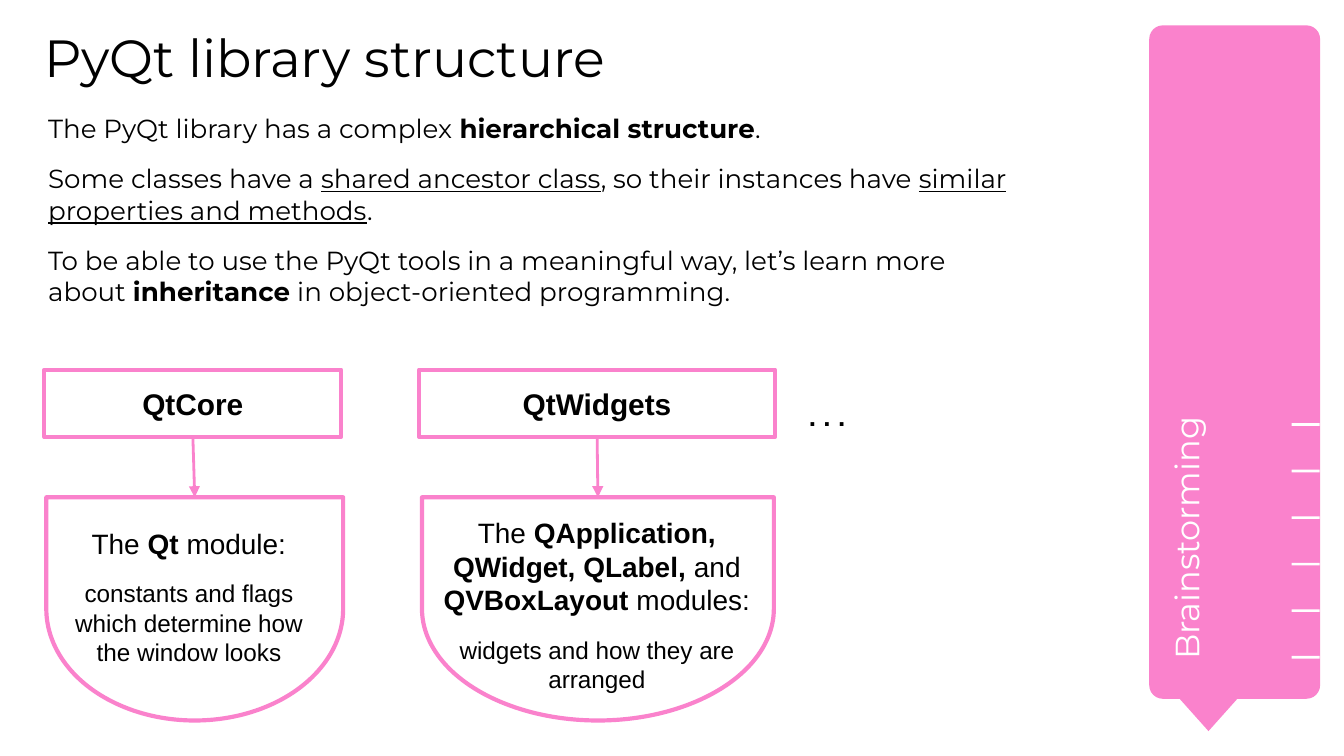
"""Build the PyQt library structure slide."""
import pptx
import pptx.util
import pptx.dml.color
import pptx.enum.shapes
import pptx.enum.text
import pptx.oxml.ns
import lxml.etree

Cm = pptx.util.Cm
RGBColor = pptx.dml.color.RGBColor
KIND = pptx.enum.shapes.MSO_SHAPE
ALIGN = pptx.enum.text.PP_ALIGN
ANCHOR = pptx.enum.text.MSO_ANCHOR
PINK = RGBColor(0xFA, 0x82, 0xCC)
WHITE = RGBColor(0xFF, 0xFF, 0xFF)
BLACK = RGBColor(0x00, 0x00, 0x00)
SANS = "Montserrat"
PLAIN = "Arial"


def write(shape, text, size=14, font=SANS, ink=BLACK, align=ALIGN.LEFT,
          mark="bold", before=0, after=0, inset=0.25, anchor=ANCHOR.TOP):
    """Add a paragraph to a shape; text between asterisks gets the mark."""
    frame = shape.text_frame
    frame.word_wrap = True
    frame.vertical_anchor = anchor
    frame.margin_left = frame.margin_right = Cm(inset)
    frame.margin_top = frame.margin_bottom = Cm(inset)
    para = frame.paragraphs[0]
    if para.runs:
        para = frame.add_paragraph()
    para.alignment = align
    if before:
        para.space_before = pptx.util.Pt(before)
    if after:
        para.space_after = pptx.util.Pt(after)
    for spot, part in enumerate(text.split("*")):
        if part:
            run = para.add_run()
            run.text = part
            run.font.size = pptx.util.Pt(size)
            run.font.name = font
            run.font.color.rgb = ink
            if spot % 2:
                setattr(run.font, mark, True)


def draw(shapes, kind, left, top, width, height, fill=WHITE, line=None):
    """Add a filled shape with an optional outline."""
    shape = shapes.add_shape(kind, Cm(left), Cm(top), Cm(width), Cm(height))
    shape.shadow.inherit = False
    shape.fill.solid()
    shape.fill.fore_color.rgb = fill
    if line:
        shape.line.color.rgb = line
        shape.line.width = pptx.util.Pt(2.25)
    else:
        shape.line.fill.background()
    return shape


deck = pptx.Presentation()
deck.slide_width = Cm(25.4)
deck.slide_height = Cm(14.29)
slide = deck.slides.add_slide(deck.slide_layouts[6])
shapes = slide.shapes

title = shapes.add_textbox(Cm(0.84), Cm(0.48), Cm(20.09), Cm(1.42))
write(title, "PyQt library structure", size=28, inset=0)

banner = shapes.add_group_shape()
bar = draw(banner.shapes, KIND.ROUNDED_RECTANGLE, 21.72, 0.48, 3.23, 12.73, PINK)
bar.adjustments[0] = 0.08
draw(banner.shapes, KIND.FLOWCHART_MERGE, 22, 12.88, 1.68, 0.94, PINK)
label = shapes.add_textbox(Cm(18.14), Cm(7.37), Cm(8.99), Cm(1.7))
label.rotation = 270
write(label, "Brainstorming", size=18, ink=WHITE)
for step in range(6):
    draw(shapes, KIND.RECTANGLE, 24.41, 8 + 0.88 * step, 0.53, 0.05)

body = shapes.add_textbox(Cm(0.66), Cm(1.88), Cm(18.67), Cm(4.04))
write(body, "The PyQt library has a complex *hierarchical structure*.")
write(body, "Some classes have a *shared ancestor class*, so their instances "
      "have *similar properties and methods*.", mark="underline", before=10)
write(body, "To be able to use the PyQt tools in a meaningful way, let’s learn "
      "more about *inheritance* in object-oriented programming.",
      before=10, after=10)

dots = shapes.add_textbox(Cm(15.04), Cm(7.32), Cm(4.62), Cm(0.94))
write(dots, "*. . .*", font=PLAIN)

units = [
    ("QtCore", 0.84, 5.61, 3.68, 5.61, (0.84, 9.7, 5.46),
     "The *Qt *module:",
     "constants and flags which determine how the window looks"),
    ("QtWidgets", 7.92, 6.73, 11.3, 6.65, (7.7, 9.5, 7.16),
     "The *QApplication, QWidget, QLabel, *and* QVBoxLayout *modules:",
     "widgets and how they are arranged"),
]
for name, left, width, mid, span, place, head, note in units:
    box = draw(shapes, KIND.RECTANGLE, left, 6.99, width, 1.27, line=PINK)
    write(box, f"*{name}*", size=16, font=PLAIN, align=ALIGN.CENTER,
          anchor=ANCHOR.MIDDLE)

    cup = draw(shapes, KIND.FLOWCHART_DELAY, mid - 2.11, 11.51 - span / 2,
               4.22, span, line=PINK)
    cup.rotation = 90
    x, y, wide = place
    text = shapes.add_textbox(Cm(x), Cm(y), Cm(wide), Cm(3.25))
    write(text, head, size=15, font=PLAIN, align=ALIGN.CENTER)
    write(text, note, size=13, font=PLAIN, align=ALIGN.CENTER, before=10)

    arrow = shapes.add_connector(pptx.enum.shapes.MSO_CONNECTOR.STRAIGHT,
                                 Cm(mid), Cm(8.26), Cm(mid), Cm(9.4))
    arrow.begin_connect(box, 2)
    arrow.line.color.rgb = PINK
    arrow.line.width = pptx.util.Pt(1.5)
    tail = lxml.etree.SubElement(arrow.line._get_or_add_ln(),
                                 pptx.oxml.ns.qn("a:tailEnd"))
    tail.set("type", "triangle")
    lxml.etree.SubElement(arrow._element.spPr, pptx.oxml.ns.qn("a:effectLst"))

deck.save("out.pptx")
